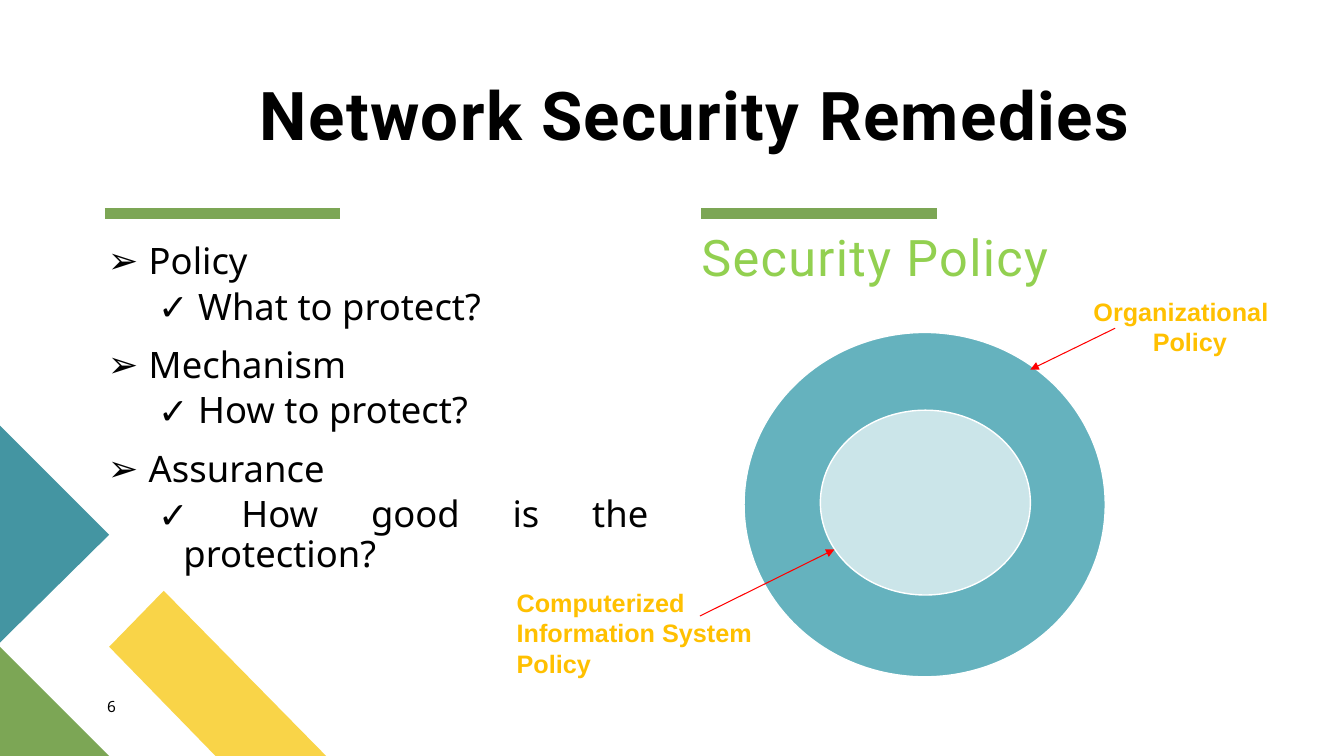
from collections import namedtuple

from lxml import etree
from pptx import Presentation
from pptx.dml.color import RGBColor
from pptx.enum.shapes import MSO_CONNECTOR, MSO_SHAPE
from pptx.enum.text import MSO_ANCHOR, PP_ALIGN
from pptx.oxml.ns import qn
from pptx.util import Pt

STRAIGHT, OVAL = MSO_CONNECTOR.STRAIGHT, MSO_SHAPE.OVAL
TOP, BOTTOM = MSO_ANCHOR.TOP, MSO_ANCHOR.BOTTOM
LEFT, CENTER, JUSTIFY = PP_ALIGN.LEFT, PP_ALIGN.CENTER, PP_ALIGN.JUSTIFY

BLACK = RGBColor(0x00, 0x00, 0x00)
WHITE = RGBColor(0xFF, 0xFF, 0xFF)
RED = RGBColor(0xFF, 0x00, 0x00)
AMBER = RGBColor(0xFF, 0xC0, 0x00)
LIME = RGBColor(0x92, 0xD0, 0x50)
GREEN = RGBColor(0x7C, 0xA6, 0x55)
YELLOW = RGBColor(0xF9, 0xD4, 0x48)
TEAL = RGBColor(0x44, 0x95, 0xA2)
RING = RGBColor(0x65, 0xB2, 0xBE)
CORE = RGBColor(0xCB, 0xE5, 0xE9)

Box = namedtuple("Box", "left top width height")

REMEDIES = [
    ("Policy", "What to protect?"),
    ("Mechanism", "How to protect?"),
    ("Assurance", "How good is the protection?"),
]


def place(shape, box):
    """Move and size a shape to a box in points."""
    shape.left, shape.top, shape.width, shape.height = map(Pt, box)


def prepare_frame(shape, anchor=TOP, inset=(0, 0)):
    """Set wrapping, anchor and (side, top) insets; return the text frame."""
    frame = shape.text_frame
    frame.word_wrap = True
    frame.vertical_anchor = anchor
    frame.margin_left = frame.margin_right = Pt(inset[0])
    frame.margin_top = frame.margin_bottom = Pt(inset[1])
    return frame


def add_text_frame(page, box, anchor=TOP, inset=(0, 0)):
    """Add a text box and return its frame."""
    shape = page.shapes.add_textbox(*map(Pt, box))
    return prepare_frame(shape, anchor, inset)


def next_para(frame, first):
    """Return the frame's first paragraph or a new one."""
    return frame.paragraphs[0] if first else frame.add_paragraph()


def add_span(para, text, font, size, color, bold=False, spacing=0):
    """Add one formatted run; spacing is between letters, in points."""
    span = para.add_run()
    span.text = text
    span.font.name, span.font.size, span.font.bold = font, Pt(size), bold
    span.font.color.rgb = color
    if spacing:
        span.font._element.set("spc", str(spacing * 100))


def add_line(page, start, end, color, width, arrow=False):
    """Draw a straight line, with an arrowhead at its end if asked."""
    line = page.shapes.add_connector(STRAIGHT, *map(Pt, (*start, *end)))
    line.line.color.rgb = color
    line.line.width = Pt(width)
    if arrow:
        etree.SubElement(line.line._get_or_add_ln(), qn("a:tailEnd"), type="triangle")
    etree.SubElement(line._element.spPr, qn("a:effectLst"))


def add_corner(page, box):
    """Fill the lower left corner with three diagonal bands."""
    step = box.width / 3
    bottom = box.top + box.height
    left = box.left
    outlines = [
        (YELLOW, [(box.width, 0), (box.width - 78.5, 0), (step, -78.5),
                  (step + 39.5, -118)]),
        (GREEN, [(0, 0), (0, -step), (step, 0)]),
        (TEAL, [(0, -3 * step - 3), (step, -2 * step - 3), (0, -step - 3)]),
    ]
    for color, offsets in outlines:
        points = [(left + x, bottom + y) for x, y in offsets]
        builder = page.shapes.build_freeform(*points[0], scale=Pt(1))
        builder.add_line_segments(points[1:], close=True)
        shape = builder.convert_to_shape()
        shape.shadow.inherit = False
        shape.fill.solid()
        shape.fill.fore_color.rgb = color
        shape.line.fill.background()


def add_title(page, box):
    """Format the title placeholder."""
    title = page.shapes.title
    place(title, box)
    para = prepare_frame(title, BOTTOM).paragraphs[0]
    para.alignment, para.line_spacing = CENTER, 0.9
    add_span(para, "Network Security Remedies", "Roboto", 48, BLACK, True, 1)


def add_bullet(para, mark, margin, indent):
    """Give a paragraph a bullet with a hanging indent."""
    props = para._p.get_or_add_pPr()
    props.set("marL", str(Pt(margin)))
    props.set("indent", str(Pt(-indent)))
    etree.SubElement(props, qn("a:buFont"), typeface="Noto Sans")
    etree.SubElement(props, qn("a:buChar"), char=mark)


def add_remedies(page, box):
    """List each remedy with its question below it."""
    frame = add_text_frame(page, box)
    levels = [("\u27a2", 22.5, 22.5, 1.0, 10), ("\u2713", 54, 18, 0.9, 5)]
    for index, remedy in enumerate(REMEDIES):
        for level, text in enumerate(remedy):
            mark, margin, indent, spacing, before = levels[level]
            para = next_para(frame, index == level == 0)
            para.level, para.alignment = level, JUSTIFY
            para.line_spacing, para.space_before = spacing, Pt(before)
            add_bullet(para, mark, margin, indent)
            add_span(para, " " + text, "Noto Sans", 26, BLACK)


def add_heading(page, box):
    """Write the heading above the policy diagram."""
    para = add_text_frame(page, box, BOTTOM).paragraphs[0]
    para.line_spacing = 0.9
    add_span(para, "Security Policy", "Roboto", 36, LIME, spacing=1)


def add_callout(page, box, lines, start, end):
    """Label a part of the diagram; start and end are offsets in the box."""
    points = [(box.left + x, box.top + y) for x, y in (start, end)]
    add_line(page, *points, RED, 0.75, arrow=True)
    frame = add_text_frame(page, box, inset=(7.2, 3.6))
    for index, (text, alignment) in enumerate(lines):
        para = next_para(frame, index == 0)
        para.alignment = alignment
        add_span(para, text, "Arial", 18, AMBER, bold=True)


def add_policy_diagram(page, box):
    """Draw the two nested policies and their callouts."""
    left, top = box.left, box.top
    core = Box(left + 54.5, top + 55.5, 150, 132)
    for oval_box, color in ((box, RING), (core, CORE)):
        oval = page.shapes.add_shape(OVAL, *map(Pt, oval_box))
        oval.shadow.inherit = False
        oval.fill.solid()
        oval.fill.fore_color.rgb = color
        oval.line.color.rgb = WHITE
        oval.line.width = Pt(1)
    add_callout(page, Box(left + 242.5, top - 29.5, 152, 51),
                [("Organizational", LEFT), ("Policy", CENTER)],
                (22.5, 26.5), (-38, 56))
    add_callout(page, Box(left - 169.5, top + 178.5, 202, 73),
                [("Computerized", LEFT), ("Information System", LEFT),
                 ("Policy", LEFT)],
                (138, 24), (234, -23.5))


def add_page_number(page, box):
    """Write the page number."""
    para = add_text_frame(page, box).paragraphs[0]
    add_span(para, "6", "Noto Sans", 11, BLACK)


def build_slide(page, box):
    """Place every region of the slide in the box."""
    left, top, _, height = box
    add_corner(page, Box(left, top + 307, 233, height - 307))
    for column in (75, 501):
        add_line(page, (left + column, top + 152.5),
                 (left + column + 168, top + 152.5), GREEN, 8)
    add_title(page, Box(left + 124.5, top + 41, 744, 70))
    add_remedies(page, Box(left + 77, top + 170, 386.5, 263))
    add_page_number(page, Box(left + 76.5, top + 498, 41, 19.5))
    add_policy_diagram(page, Box(left + 531.5, top + 237.5, 258, 246))
    add_heading(page, Box(left + 501, top + 163.5, 299.5, 42))


deck = Presentation()
deck.slide_width, deck.slide_height = Pt(960), Pt(540)
slide_page = deck.slides.add_slide(deck.slide_layouts[5])
build_slide(slide_page, Box(0, 0, 960, 540))
deck.save("out.pptx")
